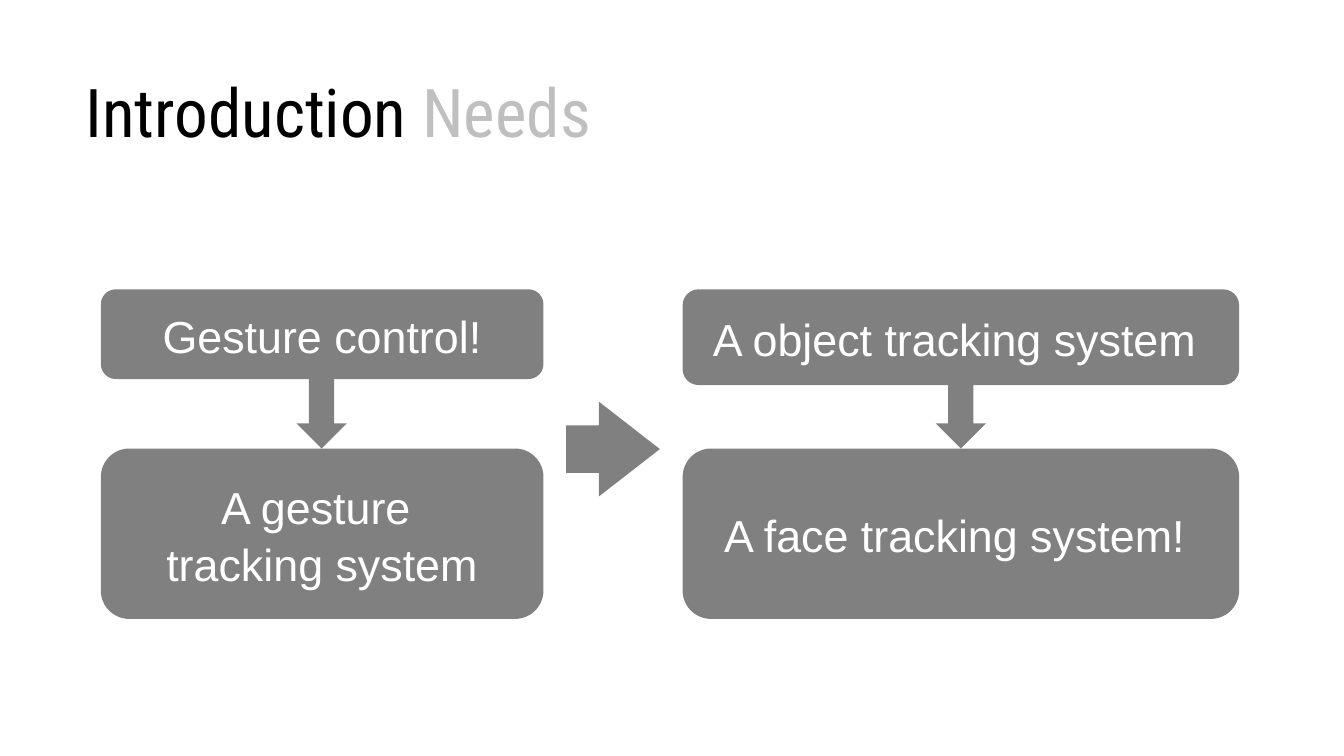
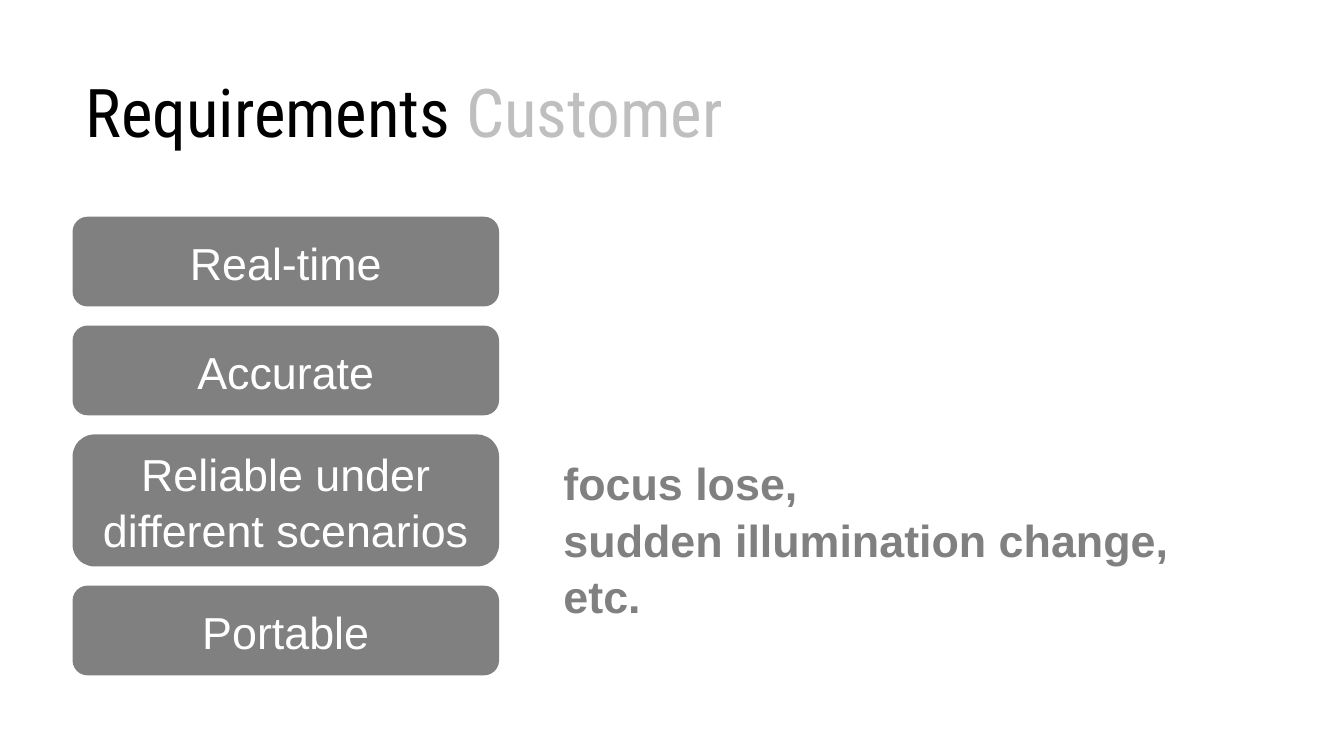
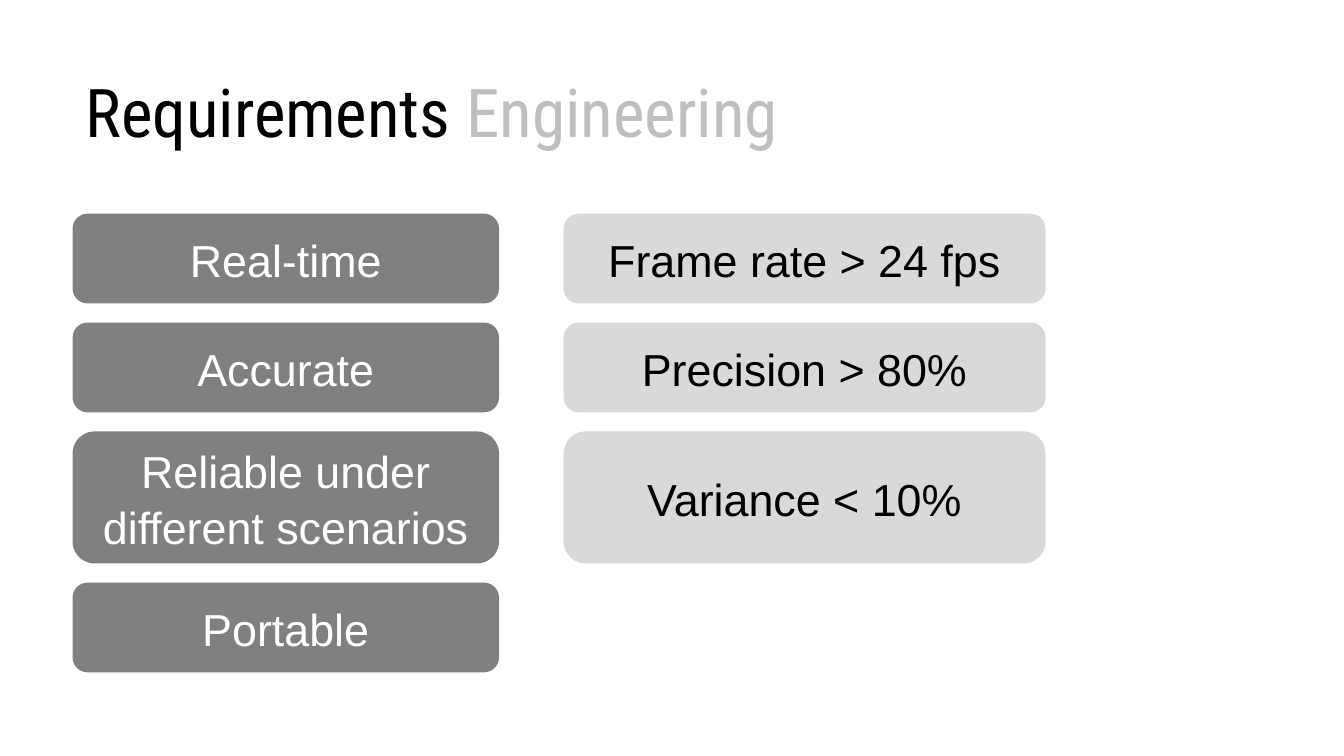
from pptx import Presentation
from pptx import util as u
from pptx.dml.color import RGBColor
from pptx.enum import shapes, text

BLACK = RGBColor(0x00, 0x00, 0x00)
WHITE = RGBColor(0xFF, 0xFF, 0xFF)
GREY = RGBColor(0x80, 0x80, 0x80)
SILVER = RGBColor(0xBF, 0xBF, 0xBF)
PALE = RGBColor(0xD9, 0xD9, 0xD9)

MARGIN = 0.72
GAP = 0.19
LOW, TALL = 0.89, 1.31
NEEDS = [
    ("Real-time", LOW),
    ("Accurate", LOW),
    ("Reliable under different scenarios", TALL),
    ("Portable", LOW),
]
TARGETS = [
    ("Frame rate > 24 fps", LOW),
    ("Precision > 80%", LOW),
    ("Variance < 10%", TALL),
]


class Slides:
    """Holds the deck, its style and the current slide."""

    def __init__(self):
        self.deck = Presentation()
        self.deck.slide_width = u.Inches(13.33)
        self.deck.slide_height = u.Inches(7.5)

    def start(self, topic, part):
        self.page = self.deck.slides.add_slide(self.deck.slide_layouts[6])
        frame = self.text_box(MARGIN, 0.63, 7.64, 0.94)
        frame.margin_left = frame.margin_right = u.Inches(0.13)
        frame.margin_top = frame.margin_bottom = u.Inches(0.07)
        para = frame.paragraphs[0]
        for words, color in ((topic + " ", BLACK), (part, SILVER)):
            span = para.add_run()
            span.text = words
            span.font.name = "Roboto Condensed"
            span.font.size = u.Pt(48)
            span.font.color.rgb = color

    def text_box(self, left, top, width, height):
        box = self.page.shapes.add_textbox(*map(u.Inches, (left, top, width, height)))
        frame = box.text_frame
        frame.word_wrap = True
        frame.auto_size = text.MSO_AUTO_SIZE.SHAPE_TO_FIT_TEXT
        return frame

    def fill_text(self, frame, words, color, align, bold=False):
        frame.text = words
        for para in frame.paragraphs:
            para.alignment = align
            para.line_spacing = 1.05
            for span in para.runs:
                span.font.name = "Arial"
                span.font.size = u.Pt(32)
                span.font.bold = bold
                span.font.color.rgb = color

    def note(self, words, left, top, width, height):
        frame = self.text_box(left, top, width, height)
        self.fill_text(frame, words, GREY, text.PP_ALIGN.LEFT, bold=True)

    def shape(self, kind, left, top, width, height, fill=GREY):
        shape = self.page.shapes.add_shape(kind, *map(u.Inches, (left, top, width, height)))
        shape.shadow.inherit = False
        shape.fill.solid()
        shape.fill.fore_color.rgb = fill
        shape.line.fill.background()
        return shape

    def card(self, words, left, top, width, height, fill=GREY, color=WHITE):
        card = self.shape(shapes.MSO_SHAPE.ROUNDED_RECTANGLE, left, top, width, height, fill)
        card.text_frame.word_wrap = True
        card.text_frame.vertical_anchor = text.MSO_ANCHOR.MIDDLE
        self.fill_text(card.text_frame, words, color, text.PP_ALIGN.CENTER)

    def stack(self, cards, left, top, width, fill=GREY, color=WHITE):
        for words, height in cards:
            self.card(words, left, top, width, height, fill, color)
            top += height + GAP

    def arrow(self, left, top, width, height):
        return self.shape(shapes.MSO_SHAPE.DOWN_ARROW, left, top, width, height)


def main():
    slides = Slides()

    slides.start("Introduction", "Needs")
    upper, lower = 2.87, 4.45
    columns = [
        (1, 4.39, 0.89, "Gesture control!", "A gesture \ntracking system", 2.94),
        (6.77, 5.52, 0.95, "A object tracking system ", "A face tracking system! ", 9.28),
    ]
    for left, width, height, need, system, arrow_left in columns:
        slides.card(need, left, upper, width, height)
        slides.card(system, left, lower, width, 1.69)
        bottom = upper + height
        slides.arrow(arrow_left, bottom, 0.5, lower - bottom)
    link = slides.arrow(5.61, 3.99, 0.94, 0.93)
    link.rotation = 270
    link.adjustments[1] = 0.65

    slides.start("Requirements", "Customer")
    slides.stack(NEEDS, MARGIN, 2.15, 4.23)
    slides.note("focus lose,\nsudden illumination change, etc.", 5.49, 4.45, 6.89, 1.72)

    slides.start("Requirements", "Engineering")
    slides.stack(NEEDS, MARGIN, 2.12, 4.23)
    slides.stack(TARGETS, 5.59, 2.12, 4.78, PALE, BLACK)

    slides.deck.save("out.pptx")


if __name__ == "__main__":
    main()
